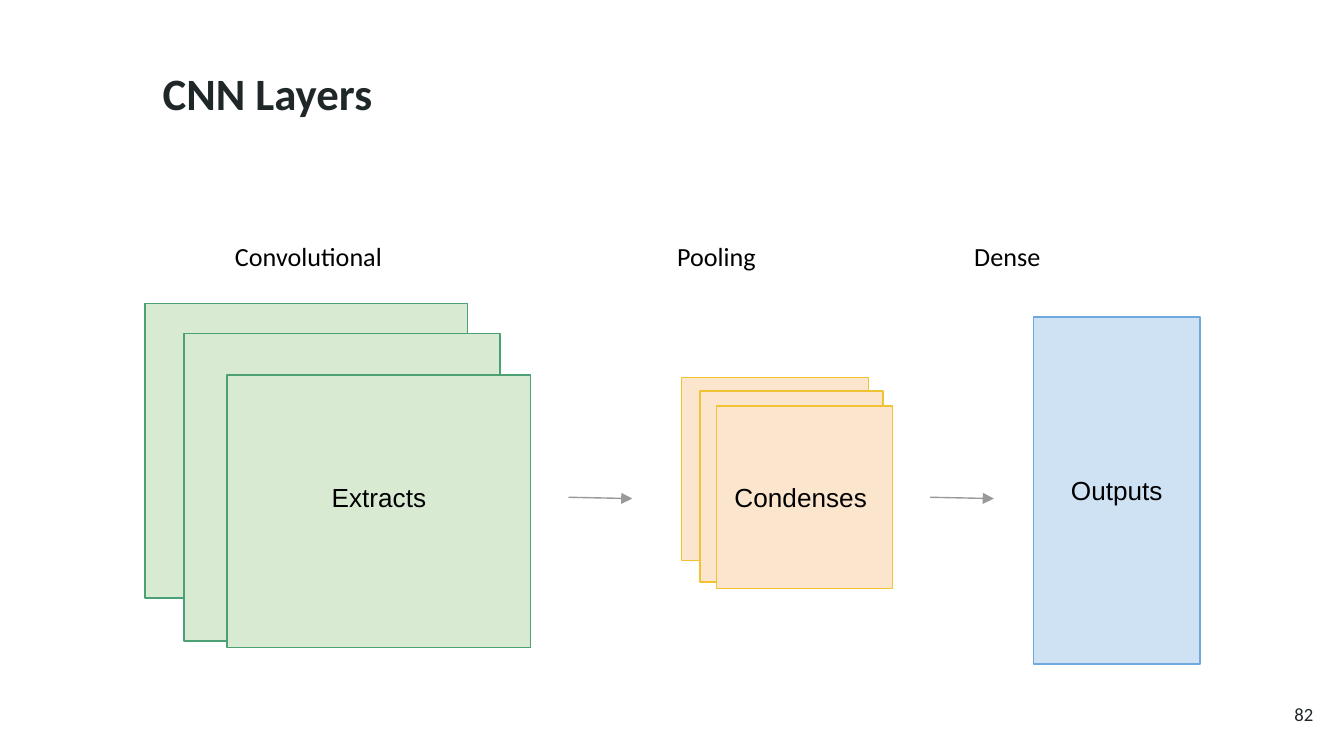
import dataclasses
import typing

import lxml.etree
import pptx
import pptx.dml.color
import pptx.enum.shapes
import pptx.enum.text
import pptx.oxml.ns
import pptx.util

HUES = {
    "ink": "202729", "text": "000000", "arrow": "999999",
    "green": "D9EAD3", "green edge": "4BA173",
    "peach": "FCE5CD", "peach edge": "F1C232",
    "blue": "CFE2F3", "blue edge": "6FA8DC",
}
# Square grid cells: a 16:9 slide, 100 columns wide
CELL = 0.1
COLS, ROWS = 100, 56.25
ALIGN = pptx.enum.text.PP_ALIGN
ANCHOR = pptx.enum.text.MSO_ANCHOR
Box = tuple[float, float, float, float]


@dataclasses.dataclass
class Panel:
    box: Box
    hue: str
    text: str = ""


@dataclasses.dataclass
class Label:
    box: Box
    text: str
    size: int = 14
    face: str = "Calibri"
    hue: str = "text"
    bold: bool = False
    align: ALIGN = ALIGN.LEFT
    anchor: ANCHOR = ANCHOR.TOP
    tabs: tuple[float, ...] = ()


def grid(*cells: float) -> list[int]:
    return [pptx.util.Inches(cell * CELL) for cell in cells]


def tint(name: str) -> pptx.dml.color.RGBColor:
    return pptx.dml.color.RGBColor.from_string(HUES[name])


def add_tabs(par: typing.Any, stops: tuple[float, ...]) -> None:
    tag = pptx.oxml.ns.qn
    tabs = lxml.etree.SubElement(par._p.get_or_add_pPr(), tag("a:tabLst"))
    for stop in grid(*stops):
        lxml.etree.SubElement(tabs, tag("a:tab"), pos=str(stop), algn="l")


def write(shape: typing.Any, label: Label) -> None:
    frame = shape.text_frame
    look = {"word_wrap": True, "vertical_anchor": label.anchor}
    for side in ("left", "right", "top", "bottom"):
        look[f"margin_{side}"] = pptx.util.Inches(0.1)
    for name, value in look.items():
        setattr(frame, name, value)
    par = frame.paragraphs[0]
    par.alignment = label.align
    if label.tabs:
        add_tabs(par, label.tabs)
    run = par.add_run()
    run.text = label.text
    style = {"size": pptx.util.Pt(label.size), "name": label.face, "bold": label.bold}
    for name, value in style.items():
        setattr(run.font, name, value)
    run.font.color.rgb = tint(label.hue)


def add_panel(slide: typing.Any, panel: Panel) -> None:
    kind = pptx.enum.shapes.MSO_SHAPE.RECTANGLE
    shape = slide.shapes.add_shape(kind, *grid(*panel.box))
    shape.shadow.inherit = False
    shape.fill.solid()
    shape.fill.fore_color.rgb = tint(panel.hue)
    shape.line.color.rgb = tint(f"{panel.hue} edge")
    shape.line.width = pptx.util.Pt(0.75)
    if panel.text:
        write(shape, Label(panel.box, panel.text, face="Arial",
                           align=ALIGN.CENTER, anchor=ANCHOR.MIDDLE))


def add_label(slide: typing.Any, label: Label) -> None:
    write(slide.shapes.add_textbox(*grid(*label.box)), label)


def add_arrow(slide: typing.Any, ends: Box) -> None:
    kind = pptx.enum.shapes.MSO_CONNECTOR.STRAIGHT
    arrow = slide.shapes.add_connector(kind, *grid(*ends))
    arrow.line.color.rgb = tint("arrow")
    arrow.line.width = pptx.util.Pt(0.75)
    tag = pptx.oxml.ns.qn
    lxml.etree.SubElement(arrow.line._get_or_add_ln(), tag("a:tailEnd"), type="triangle")
    lxml.etree.SubElement(arrow._element.spPr, tag("a:effectLst"))


# Layer stacks, from back to front
PANELS = [
    Panel((10.8, 22.6, 24, 21.9), "green"),
    Panel((13.7, 24.8, 23.5, 22.9), "green"),
    Panel((16.9, 27.9, 22.6, 20.3), "green"),
    Panel((50.7, 28.1, 13.9, 13.6), "peach"),
    Panel((52.1, 29.1, 13.6, 14.2), "peach"),
    Panel((53.3, 30.2, 13.1, 13.6), "peach", "Condenses "),
    Panel((76.9, 23.6, 12.4, 25.8), "blue", "Outputs"),
]
ARROWS = [(left, 37, left + 4.75, 37.1) for left in (42.3, 69.2)]
LABELS = [
    Label((3.4, 3.9, 33, 6.3), "CNN Layers", 24, hue="ink", bold=True, align=ALIGN.CENTER),
    Label((10.8, 16.9, 78.5, 6.7), "\tConvolutional\tPooling\tDense", tabs=(5.7, 38.6, 60.7)),
    Label((16.9, 34.8, 22.6, 4.4), "Extracts", face="Arial", align=ALIGN.CENTER),
    Label((92.7, 51, 6, 4.3), "82", 10, hue="ink", align=ALIGN.RIGHT, anchor=ANCHOR.MIDDLE),
]


def main() -> None:
    deck = pptx.Presentation()
    deck.slide_width, deck.slide_height = grid(COLS, ROWS)
    slide = deck.slides.add_slide(deck.slide_layouts[6])
    for panel in PANELS:
        add_panel(slide, panel)
    for ends in ARROWS:
        add_arrow(slide, ends)
    for label in LABELS:
        add_label(slide, label)
    deck.save("out.pptx")


if __name__ == "__main__":
    main()
